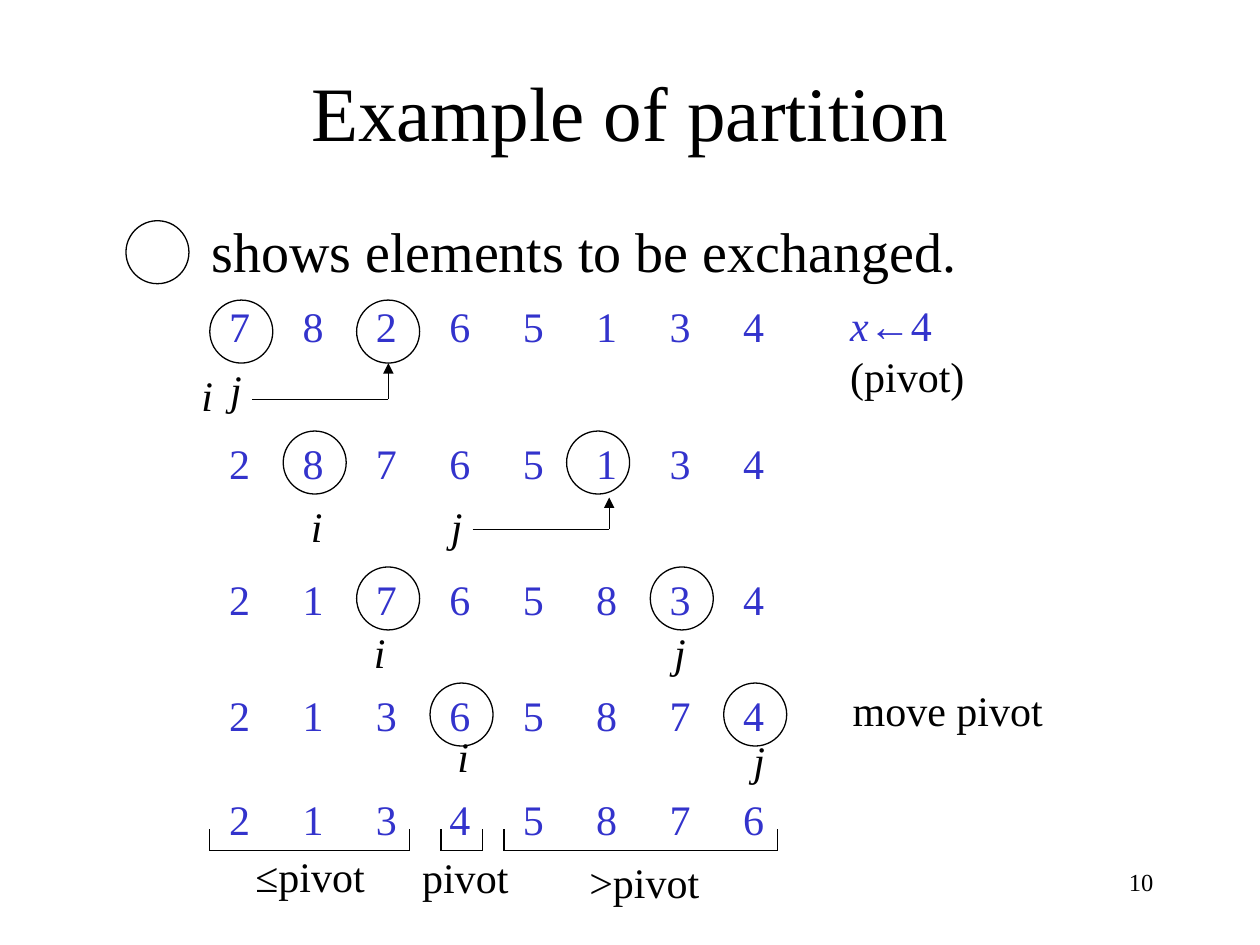
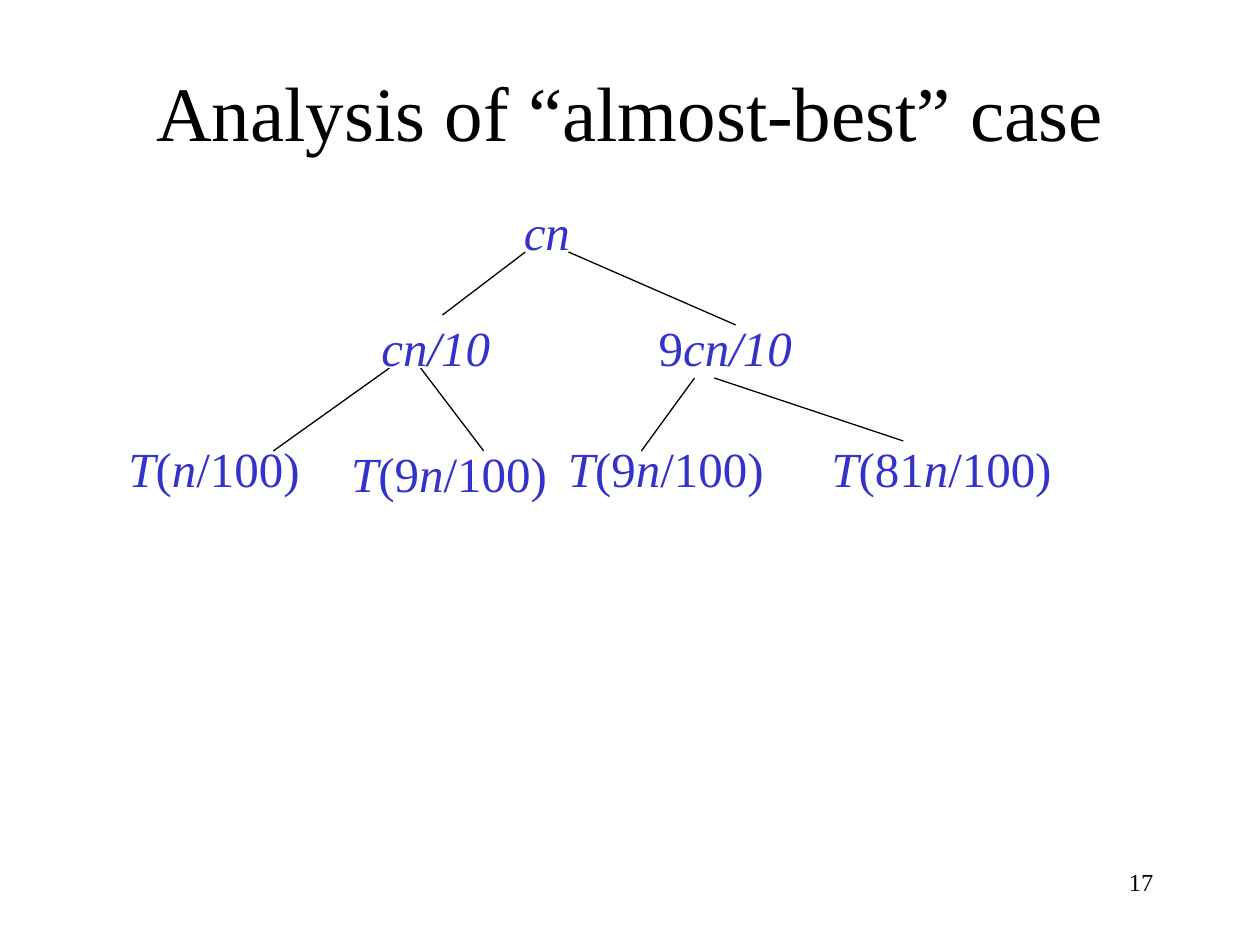
from lxml import etree
from pptx import Presentation
from pptx import util as u
from pptx.dml.color import RGBColor
from pptx.enum import shapes, text
from pptx.oxml.ns import qn

FONT = "Times New Roman"
BLACK, BLUE = "000000", "3333CC"
COLUMN = 1.48          # distance between neighbouring array elements, cm
FIRST_CIRCLE = 4.23    # left edge of a circle around element 0, cm
CIRCLE = 1.27


def rgb(code):
    return RGBColor.from_string(code)


# Text
def format_run(r, size, color=BLACK, italic=False):
    r.font.name = FONT
    r.font.size = u.Pt(size)
    r.font.italic = italic
    r.font.color.rgb = rgb(color)


def add_text(s, x, y, w, h, words, size=24, color=BLACK, wrap=False):
    """Add a text box; parts between asterisks are italic."""
    sp = s.shapes.add_textbox(u.Cm(x), u.Cm(y), u.Cm(w), u.Cm(h))
    tf = sp.text_frame
    tf.word_wrap = wrap
    p = tf.paragraphs[0]
    for n, part in enumerate(words.split("*")):
        if part:
            r = p.add_run()
            r.text = part
            format_run(r, size, color, italic=n % 2 == 1)
    return p


def add_slide(prs, title, number):
    s = prs.slides.add_slide(prs.slide_layouts[5])
    sp = s.shapes.title
    sp.left, sp.top, sp.width, sp.height = map(u.Cm, (1.91, 0.64, 21.59, 3.18))
    tf = sp.text_frame
    tf.text = title
    tf.auto_size = text.MSO_AUTO_SIZE.NONE
    tf.vertical_anchor = text.MSO_ANCHOR.MIDDLE
    p = tf.paragraphs[0]
    p.alignment = text.PP_ALIGN.CENTER
    format_run(p.runs[0], 44)
    p = add_text(s, 18.21, 17.35, 5.29, 1.27, str(number), 14, wrap=True)
    p.alignment = text.PP_ALIGN.RIGHT
    return s


# Lines and circles
def add_line(s, start, end, arrow=False):
    c = s.shapes.add_connector(shapes.MSO_CONNECTOR.STRAIGHT,
                               *map(u.Cm, (*start, *end)))
    c.line.color.rgb = rgb(BLACK)
    c.line.width = u.Pt(0.75)
    if arrow:
        etree.SubElement(c.line._get_or_add_ln(), qn("a:tailEnd"), type="triangle")
    etree.SubElement(c._element.spPr, qn("a:effectLst"))


def add_circle(s, x, y):
    sp = s.shapes.add_shape(shapes.MSO_SHAPE.OVAL,
                            *map(u.Cm, (x, y, CIRCLE, CIRCLE)))
    sp.shadow.inherit = False
    sp.fill.background()
    sp.line.color.rgb = rgb(BLACK)
    sp.line.width = u.Pt(0.75)


# Parts of the partition example
def add_array(s, y, digits):
    p = add_text(s, 4.37, y, 11.4, 1.27, "\t".join(digits), color=BLUE, wrap=True)
    tabs = etree.SubElement(p._p.get_or_add_pPr(), qn("a:tabLst"))
    for n in range(1, len(digits)):
        etree.SubElement(tabs, qn("a:tab"), pos=str(u.Cm(n * COLUMN)), algn="l")


def add_elbow_arrow(s, x, y, tip_y):
    corner = (x + 2.75, y)
    add_line(s, (x, y), corner)
    add_line(s, corner, (corner[0], tip_y), arrow=True)


def add_bracket(s, left, right, y=17.15, top=16.71):
    add_line(s, (left, y), (right, y))
    for x in (left, right):
        add_line(s, (x, y), (x, top))


def partition_slide(prs):
    s = add_slide(prs, "Example of partition", 10)

    # Legend
    add_circle(s, 2.54, 4.45)
    add_text(s, 4.01, 4.24, 15.7, 1.6, "shows elements to be exchanged.", 32)

    # Array states: text top, digits, circle top, circled columns, i and j
    states = [
        (5.94, "78265134", 6.05, (0, 2), (3.81, 7.32), (4.39, 7.21)),
        (8.69, "28765134", 8.69, (1, 4.86), (6.02, 9.96), (8.84, 9.96)),
        (11.43, "21765834", 11.43, (2, 6), (7.29, 12.5), (13.34, 12.5)),
        (13.77, "21365874", 13.77, (3, 7), (8.97, 14.61), (14.94, 14.68)),
    ]
    for y, digits, circle_y, columns, i, j in states:
        add_array(s, y, digits)
        for column in columns:
            add_circle(s, FIRST_CIRCLE + column * COLUMN, circle_y)
        add_text(s, *i, 0.8, 1.27, "*i*")
        add_text(s, *j, 0.8, 1.27, "*j*")
    add_elbow_arrow(s, 5.08, 8.05, 7.32)
    add_elbow_arrow(s, 9.53, 10.67, 10.03)

    # Result with its three parts
    add_array(s, 15.88, "21345876")
    for left, right in ((4.23, 8.26), (8.89, 9.73), (10.16, 15.67)):
        add_bracket(s, left, right)
    for x, y, w, label in ((4.9, 17.02, 2.85, "≤pivot"),
                           (8.26, 17.04, 2.4, "pivot"),
                           (11.63, 17.15, 2.85, ">pivot")):
        add_text(s, x, y, w, 1.27, label)

    # Side remarks
    p = add_text(s, 16.89, 5.92, 4.3, 1.27, "*x*←4", color=BLUE, wrap=True)
    r = p.add_run()
    r.text = " (pivot)"
    format_run(r, 24)
    add_text(s, 16.94, 13.67, 4.5, 1.27, "move pivot")


def recursion_slide(prs):
    s = add_slide(prs, "Analysis of “almost-best” case", 17)

    # Tree nodes, each a little wider than its text so that it stays on one line
    for x, y, w, cost in (
        (10.31, 3.94, 1.6, "*cn*"),
        (7.44, 6.27, 2.9, "*cn/10*"),
        (13.03, 6.27, 3.4, "9*cn/10*"),
        (2.34, 8.71, 4.15, "*T*(*n*/100)"),
        (6.83, 8.81, 4.65, "*T*(9*n*/100)"),
        (11.2, 8.71, 4.65, "*T*(9*n*/100)"),
        (16.51, 8.71, 5.15, "*T*(81*n*/100)"),
    ):
        add_text(s, x, y, w, 1.45, cost, 28, BLUE)

    # Tree branches
    for start, end in (
        ((10.59, 5.08), (8.92, 6.35)),
        ((11.46, 5.08), (14.83, 6.55)),
        ((7.85, 7.42), (5.51, 9.09)),
        ((8.48, 7.42), (9.75, 9.09)),
        ((14, 7.62), (12.93, 9.09)),
        ((14.4, 7.62), (18.21, 8.89)),
    ):
        add_line(s, start, end)


def main():
    prs = Presentation()
    prs.slide_width, prs.slide_height = u.Cm(25.4), u.Cm(19.05)
    partition_slide(prs)
    recursion_slide(prs)
    prs.save("out.pptx")


if __name__ == "__main__":
    main()
